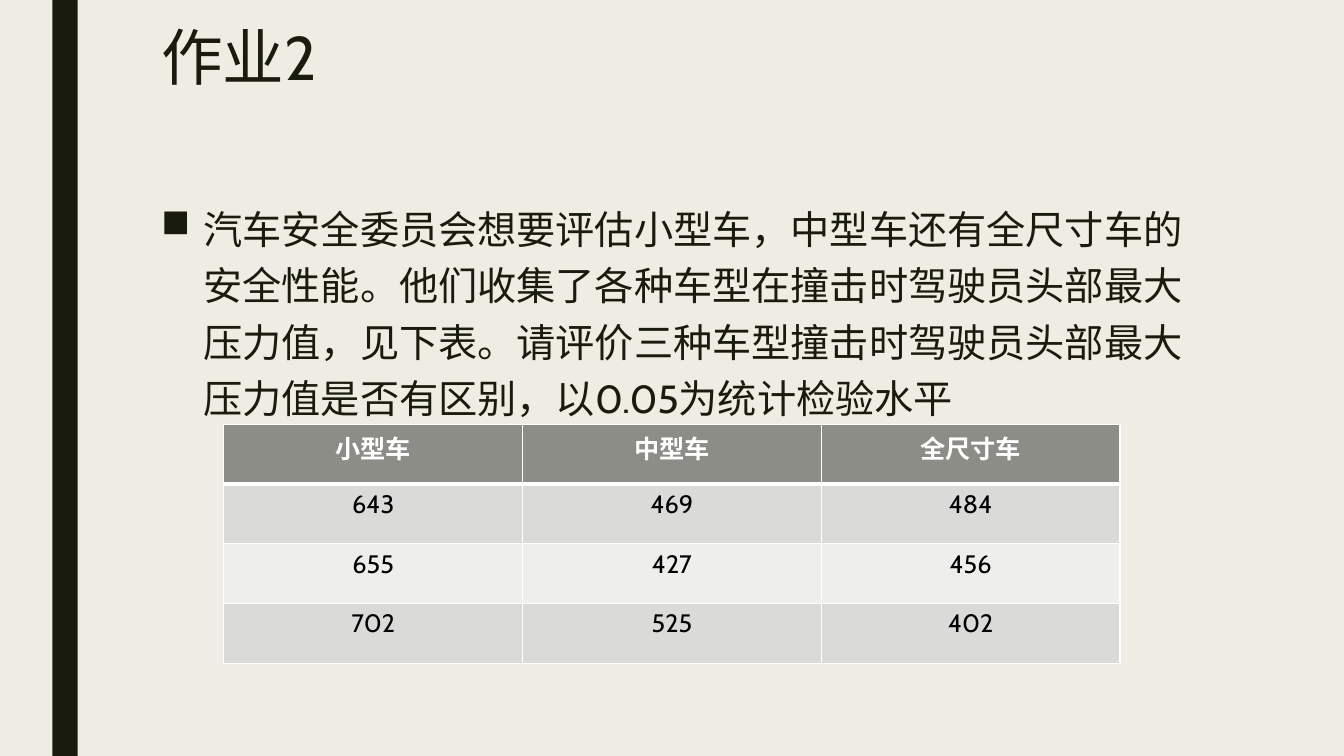
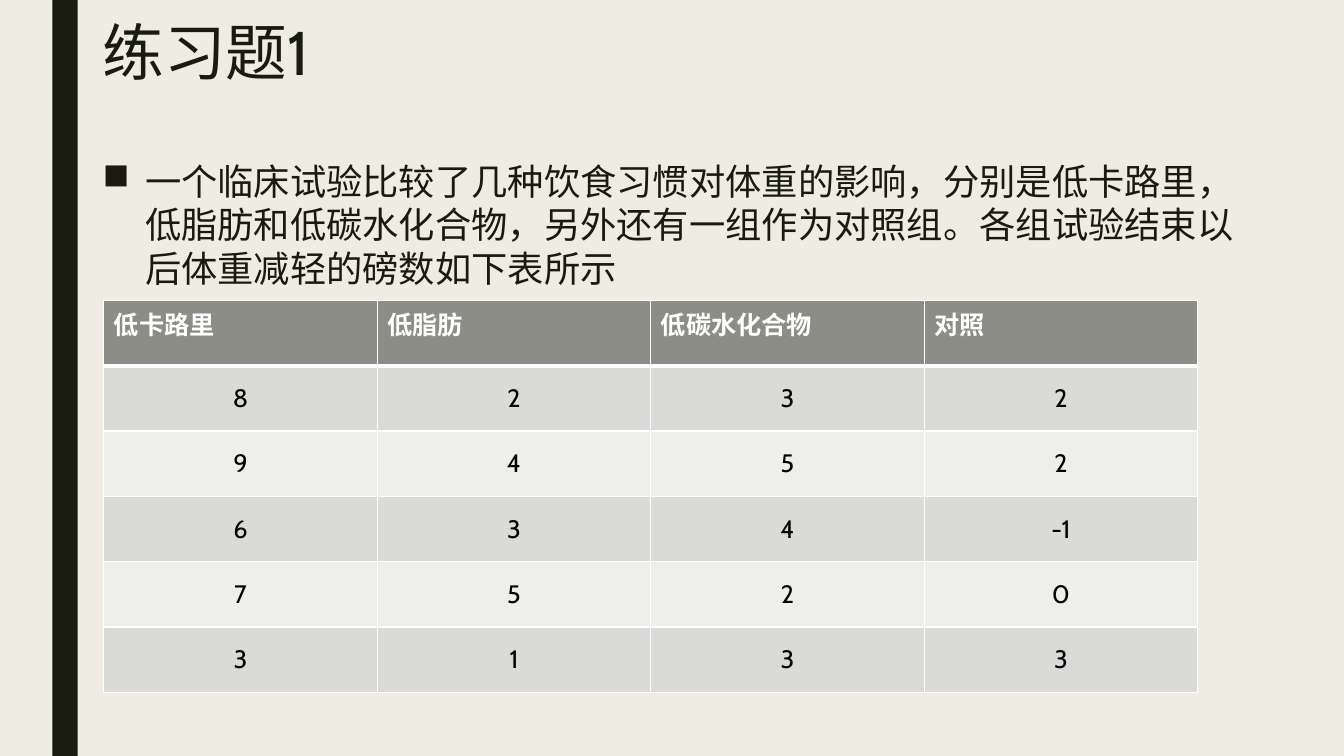
"""Build two exercise slides, each with a title, a bulleted task and a data table."""
from lxml.etree import SubElement
from pptx import Presentation
from pptx.dml.color import RGBColor
from pptx.enum.shapes import MSO_SHAPE as Preset
from pptx.enum.text import MSO_ANCHOR as Anchor, PP_ALIGN as Align
from pptx.oxml.ns import qn
from pptx.util import Inches, Pt

INK, PAPER, WHITE, BLACK = "191B0E", "EFEDE3", "FFFFFF", "000000"
HEADER, BANDS = "8C8D86", ("EEEEED", "DADBD9")
FONT = "Cabin"
INDENT = Inches(0.42)


def paint(fill, colour):
    fill.solid()
    fill.fore_color.rgb = RGBColor.from_string(colour)


def write(frame, text, size, colour, bold=False):
    frame.word_wrap = True
    para = frame.paragraphs[0]
    span = para.add_run()
    span.text = text
    span.font.name, span.font.size, span.font.bold = FONT, Pt(size), bold
    paint(span.font.fill, colour)
    return para


exercises = [
    {
        "title": "作业2",
        "title_box": (1.5, 0.23, 10.5, 1.62),
        "task": "汽车安全委员会想要评估小型车，中型车还有全尺寸车的安全性能。"
                "他们收集了各种车型在撞击时驾驶员头部最大压力值，见下表。"
                "请评价三种车型撞击时驾驶员头部最大压力值是否有区别，"
                "以0.05为统计检验水平",
        "task_box": (1.5, 1.89, 10.5, 3.92),
        "task_size": 28,
        "task_spacing": 1.2,
        "table_box": (2.22, 4.21, 8.89, 2.37),
        "header_align": Align.CENTER,
        "value_anchor": Anchor.TOP,
        "rows": [
            ("小型车", "中型车", "全尺寸车"),
            (643, 469, 484),
            (655, 427, 456),
            (702, 525, 402),
        ],
    },
    {
        "title": "练习题1",
        "title_box": (0.92, 0.18, 11.5, 1.45),
        "task": "一个临床试验比较了几种饮食习惯对体重的影响，分别是低卡路里，"
                "低脂肪和低碳水化合物，另外还有一组作为对照组。"
                "各组试验结束以后体重减轻的磅数如下表所示",
        "task_box": (0.92, 1.53, 11.5, 1.47),
        "task_size": 25.9,
        "task_spacing": 1.0,
        "table_box": (1.03, 2.98, 10.85, 3.89),
        "header_align": Align.LEFT,
        "value_anchor": Anchor.MIDDLE,
        "rows": [
            ("低卡路里", "低脂肪", "低碳水化合物", "对照"),
            (8, 2, 3, 2),
            (9, 4, 5, 2),
            (6, 3, 4, -1),
            (7, 5, 2, 0),
            (3, 1, 3, 3),
        ],
    },
]

deck = Presentation()
deck.slide_width, deck.slide_height = Inches(13.33), Inches(7.5)
paint(deck.slide_master.background.fill, PAPER)

for exercise in exercises:
    page = deck.slides.add_slide(deck.slide_layouts[6])

    bar = page.shapes.add_shape(
        Preset.RECTANGLE, Inches(0.52), 0, Inches(0.25), deck.slide_height)
    bar.shadow.inherit = False
    paint(bar.fill, INK)
    bar.line.fill.background()

    title_box = page.shapes.add_textbox(*map(Inches, exercise["title_box"]))
    title = write(title_box.text_frame, exercise["title"], 44, INK)
    title.line_spacing = 0.89

    task_box = page.shapes.add_textbox(*map(Inches, exercise["task_box"]))
    task = write(task_box.text_frame, exercise["task"], exercise["task_size"], INK)
    task.line_spacing = exercise["task_spacing"]
    task.space_before, task.space_after = Pt(10), Pt(2)
    layout = task._p.get_or_add_pPr()
    layout.set("marL", str(INDENT))
    layout.set("indent", str(-INDENT))
    SubElement(layout, qn("a:buChar"), char="■")

    rows = exercise["rows"]
    left, top, width, height = map(Inches, exercise["table_box"])
    table = page.shapes.add_table(
        len(rows), len(rows[0]), left, top, width, height).table
    for column in table.columns:
        column.width = width // len(rows[0])
    for row_index, values in enumerate(rows):
        table.rows[row_index].height = height // len(rows)
        is_header = row_index == 0
        for column_index, value in enumerate(values):
            cell = table.cell(row_index, column_index)
            para = write(cell.text_frame, str(value), 18,
                         WHITE if is_header else BLACK, is_header)
            para.alignment = exercise["header_align"] if is_header else Align.CENTER
            cell.vertical_anchor = Anchor.TOP if is_header else exercise["value_anchor"]
            borders = {"lnL": 1, "lnR": 1,
                       "lnT": 3 if row_index == 1 else 1,
                       "lnB": 3 if is_header else 1}
            for edge, points in borders.items():
                line = SubElement(cell._tc.get_or_add_tcPr(), qn(f"a:{edge}"),
                                  w=str(Pt(points)))
                SubElement(SubElement(line, qn("a:solidFill")),
                           qn("a:srgbClr"), val=WHITE)
            paint(cell.fill, HEADER if is_header else BANDS[row_index % 2])

deck.save("out.pptx")
